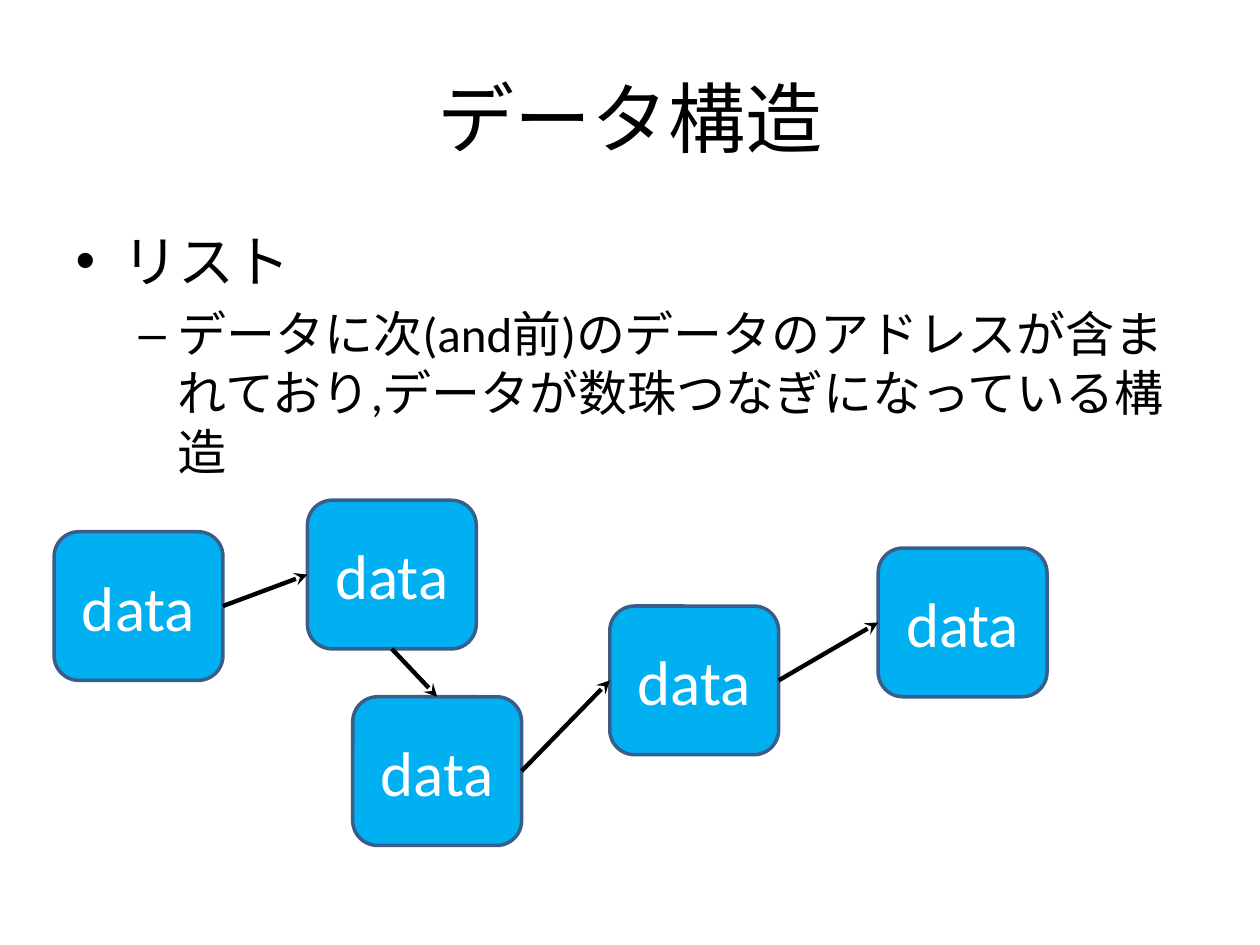
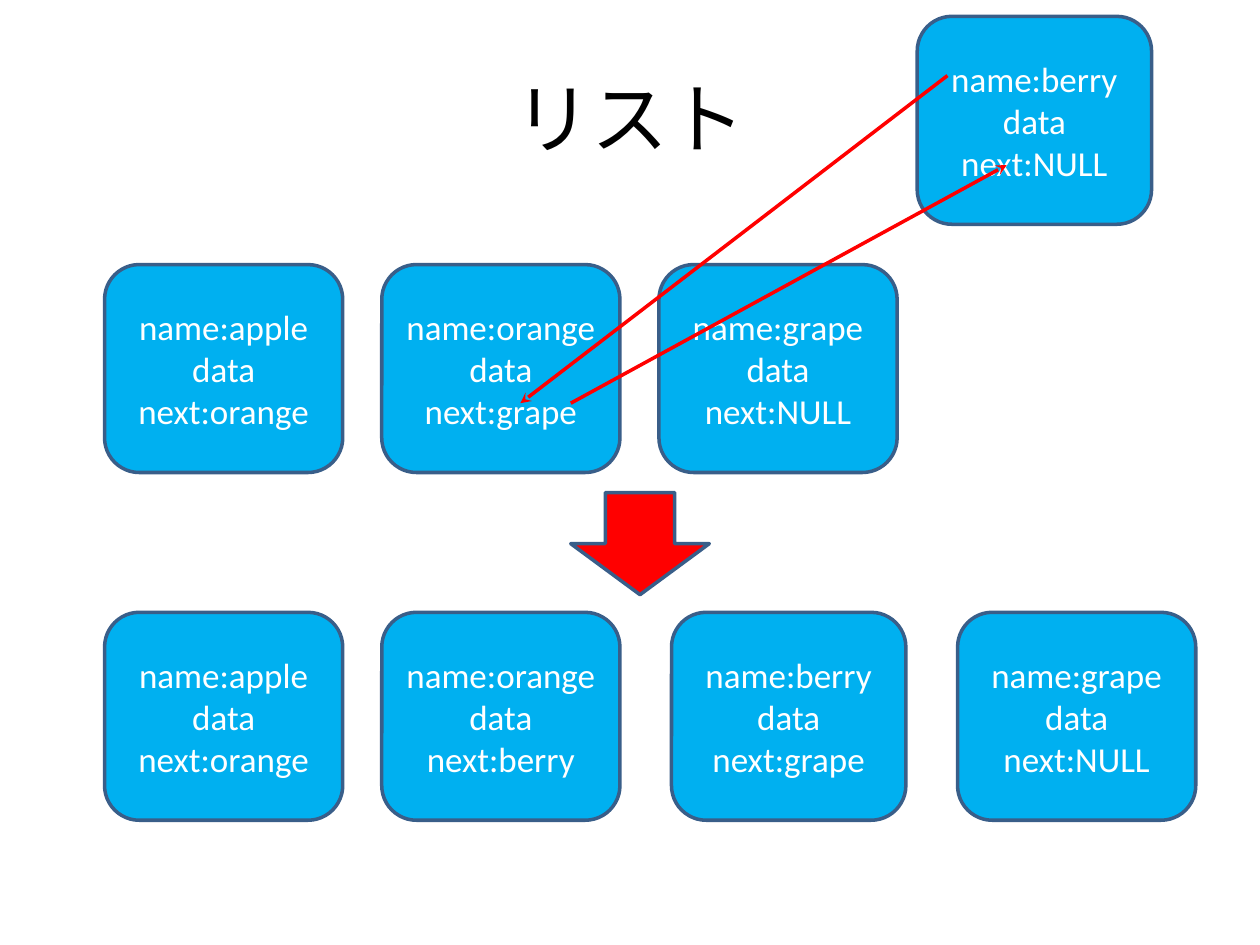
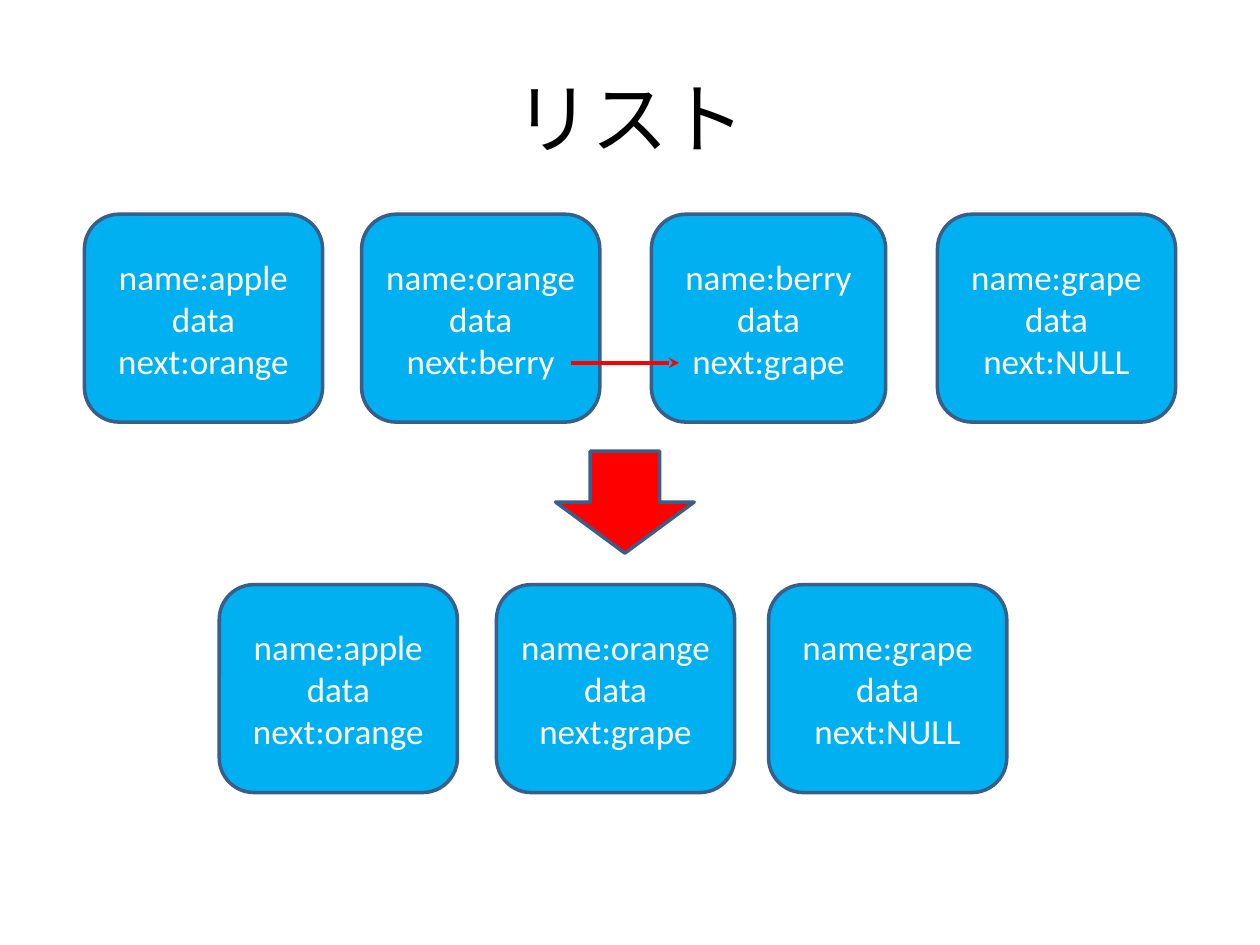
from dataclasses import dataclass
from itertools import pairwise

from lxml.etree import SubElement
from pptx import Presentation
from pptx.dml.color import RGBColor
from pptx.enum.shapes import MSO_CONNECTOR, MSO_SHAPE
from pptx.enum.text import MSO_ANCHOR, PP_ALIGN
from pptx.oxml.ns import qn
from pptx.util import Inches, Pt


@dataclass(frozen=True)
class Theme:
    font: str = "Calibri"
    ink: str = "000000"
    paper: str = "FFFFFF"
    node: str = "00B0F0"
    outline: str = "395E89"
    accent: str = "FF0000"
    title_size: int = 44
    body_sizes: tuple = (32, 28)
    data_size: int = 36
    record_size: int = 20
    outline_width: float = 2
    chain_width: float = 2.5


THEME = Theme()
SLIDE_SIZE = (10, 7.5)
TITLE_BOX = (0.5, 0.3, 9, 1.25)
BODY_BOX = (0.5, 1.75, 9, 4.95)
DATA_SIZE = (1.34, 1.18)
RECORD_HEIGHT = 1.65
RECORD_WIDTHS = {"apple": 1.89, "orange": 1.89, "berry": 1.86, "grape": 1.89}
DOWN_SIZE = (1.1, 0.81)
TOP, LEFT, BOTTOM, RIGHT = range(4)

OVERVIEW = {
    "title": "データ構造",
    "body": [
        "リスト",
        "データに次(and前)のデータのアドレスが含まれており,データが数珠つなぎになっている構造",
    ],
    "places": [(0.43, 4.22), (2.44, 3.97), (2.8, 5.53), (4.84, 4.81), (6.97, 4.35)],
    "joins": [(RIGHT, LEFT), (BOTTOM, TOP), (RIGHT, LEFT), (RIGHT, LEFT)],
}

FULL_CHAIN = ["apple", "orange", "berry", "grape"]
SHORT_CHAIN = ["apple", "orange", "grape"]
FULL_GAPS = [0.31, 0.41, 0.41]

OPERATIONS = [
    {
        "title": "リスト",
        "chains": [
            (SHORT_CHAIN, (0.83, 2.1), [0.31, 0.31]),
            (["berry"], (7.28, 0.13), []),
            (FULL_CHAIN, (0.83, 4.86), FULL_GAPS),
        ],
        "pointers": [((7.52, 0.6), (4.13, 3.2)), ((4.53, 3.2), (7.99, 1.31))],
        "down": (4.53, 3.91),
    },
    {
        "title": "リスト",
        "chains": [
            (FULL_CHAIN, (0.67, 1.7), FULL_GAPS),
            (SHORT_CHAIN, (1.74, 4.64), [0.31, 0.27]),
        ],
        "pointers": [((4.53, 2.88), (5.39, 2.88))],
        "down": (4.41, 3.58),
    },
]


def apply(target, values):
    for name, value in values.items():
        setattr(target, name, value)


def place(shape, bounds):
    names = ("left", "top", "width", "height")
    apply(shape, dict(zip(names, map(Inches, bounds))))


def write(shape, lines, size, color, **paragraph_format):
    frame = shape.text_frame
    frame.text = "\n".join(lines)
    for para in frame.paragraphs:
        apply(para, paragraph_format)
        for span in para.runs:
            apply(span.font, {"name": THEME.font, "size": Pt(size)})
            span.font.color.rgb = RGBColor.from_string(color)


def add_page(deck, layout_index, title):
    page = deck.slides.add_slide(deck.slide_layouts[layout_index])
    place(page.shapes.title, TITLE_BOX)
    write(page.shapes.title, [title], THEME.title_size, THEME.ink, alignment=PP_ALIGN.CENTER)
    return page


def add_block(page, kind, bounds, fill):
    block = page.shapes.add_shape(kind, *map(Inches, bounds))
    block.shadow.inherit = False
    block.fill.solid()
    block.fill.fore_color.rgb = RGBColor.from_string(fill)
    block.line.color.rgb = RGBColor.from_string(THEME.outline)
    block.line.width = Pt(THEME.outline_width)
    return block


def add_node(page, bounds, lines, size):
    node = add_block(page, MSO_SHAPE.ROUNDED_RECTANGLE, bounds, THEME.node)
    apply(node.text_frame, {"word_wrap": True, "vertical_anchor": MSO_ANCHOR.MIDDLE})
    write(node, lines, size, THEME.paper, alignment=PP_ALIGN.CENTER)
    return node


def add_arrow(page, start, end, color, width):
    arrow = page.shapes.add_connector(MSO_CONNECTOR.STRAIGHT, *map(Inches, (*start, *end)))
    arrow.line.color.rgb = RGBColor.from_string(color)
    arrow.line.width = Pt(width)
    SubElement(arrow.line._get_or_add_ln(), qn("a:tailEnd"), type="stealth")
    SubElement(arrow._element.spPr, qn("a:effectLst"))
    return arrow


def add_chain(page, names, start, gaps):
    left, top = start
    for name, following, gap in zip(names, [*names[1:], "NULL"], [*gaps, 0]):
        width = RECORD_WIDTHS[name]
        lines = [f"name:{name}", "data", f"next:{following}"]
        add_node(page, (left, top, width, RECORD_HEIGHT), lines, THEME.record_size)
        left += width + gap


def build_overview(deck, content):
    page = add_page(deck, 1, content["title"])
    body = page.placeholders[1]
    place(body, BODY_BOX)
    write(body, content["body"], THEME.body_sizes[0], THEME.ink)
    for level, para in enumerate(body.text_frame.paragraphs):
        para.level = level
        para.runs[0].font.size = Pt(THEME.body_sizes[level])
    nodes = [
        add_node(page, (*spot, *DATA_SIZE), ["data"], THEME.data_size)
        for spot in content["places"]
    ]
    for (source, target), (leave, enter) in zip(pairwise(nodes), content["joins"]):
        arrow = add_arrow(page, (0, 0), (1, 1), THEME.ink, THEME.chain_width)
        arrow.begin_connect(source, leave)
        arrow.end_connect(target, enter)


def build_operation(deck, content):
    page = add_page(deck, 5, content["title"])
    for names, start, gaps in content["chains"]:
        add_chain(page, names, start, gaps)
    for start, end in content["pointers"]:
        add_arrow(page, start, end, THEME.accent, THEME.outline_width)
    add_block(page, MSO_SHAPE.DOWN_ARROW, (*content["down"], *DOWN_SIZE), THEME.accent)


def main():
    deck = Presentation()
    apply(deck, dict(zip(("slide_width", "slide_height"), map(Inches, SLIDE_SIZE))))
    build_overview(deck, OVERVIEW)
    for content in OPERATIONS:
        build_operation(deck, content)
    deck.save("out.pptx")


if __name__ == "__main__":
    main()
